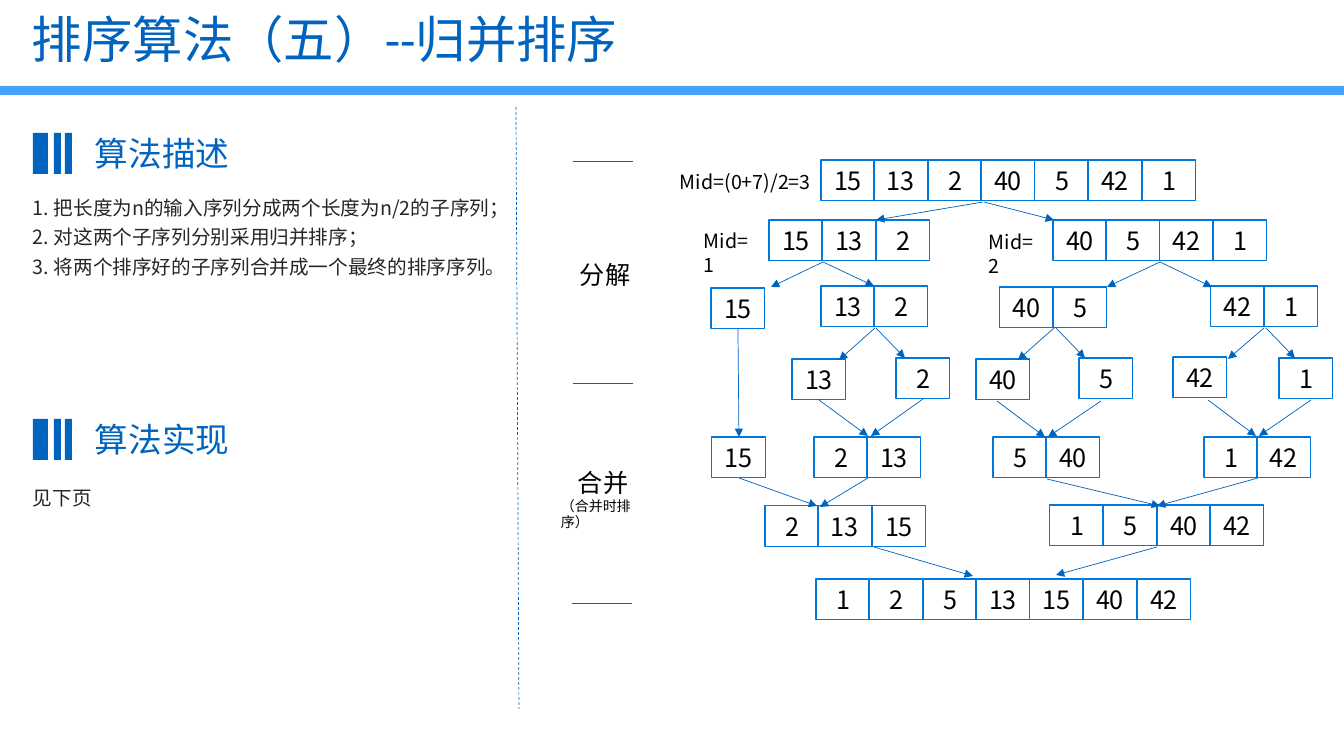
"""Build the merge sort slide: its description beside a split-and-merge diagram."""
from dataclasses import dataclass

from lxml import etree
from pptx import Presentation
from pptx.dml.color import RGBColor
from pptx.enum.dml import MSO_LINE
from pptx.enum.shapes import MSO_CONNECTOR, MSO_SHAPE
from pptx.enum.text import MSO_ANCHOR, MSO_AUTO_SIZE, PP_ALIGN
from pptx.oxml.ns import qn
from pptx.util import Emu, Pt

RECTANGLE = MSO_SHAPE.RECTANGLE
STRAIGHT = MSO_CONNECTOR.STRAIGHT
DASH = MSO_LINE.DASH
TOP, MIDDLE = MSO_ANCHOR.TOP, MSO_ANCHOR.MIDDLE
LEFT, CENTER, JUSTIFY = PP_ALIGN.LEFT, PP_ALIGN.CENTER, PP_ALIGN.JUSTIFY
NO_FIT = MSO_AUTO_SIZE.NONE
TOP_SITE, BOTTOM_SITE = 0, 2
EMU_PER_PX = 914400 / 100.8
CELL_WIDTH, CELL_HEIGHT = 54, 41


@dataclass(frozen=True)
class Theme:
    """Colours, fonts and type sizes of the slide."""
    primary: RGBColor = RGBColor(0x00, 0x63, 0xBE)
    band: RGBColor = RGBColor(0x47, 0xA1, 0xFE)
    cell_line: RGBColor = RGBColor(0x01, 0x78, 0xD9)
    body: RGBColor = RGBColor(0x26, 0x26, 0x26)
    black: RGBColor = RGBColor(0, 0, 0)
    title_font: str = "Calibri"
    font: str = "Noto Sans CJK SC"
    title: int = 36
    heading: int = 24
    label: int = 18
    text: int = 14
    small: int = 10
    leading: float = 1.22
    body_leading: float = 1.5


def px(length):
    """Turn pixels into EMU."""
    return Emu(round(length * EMU_PER_PX))


class SlideBuilder:
    """Draws styled elements on one slide."""

    def __init__(self, page, theme):
        self.page = page
        self.theme = theme
        self.anchors = []

    def add_span(self, para, words, size, color, font=None):
        """Add one formatted run to a paragraph."""
        span = para.add_run()
        span.text = words
        span.font.size = Pt(size)
        span.font.color.rgb = color
        span.font.name = font or self.theme.font
        east_asian = etree.SubElement(span._r.get_or_add_rPr(), qn("a:ea"))
        east_asian.set("typeface", self.theme.font)

    def frame(self, box, inset, anchor, wrap=True):
        """Set the insets, anchor and wrapping of a box's text."""
        frame = box.text_frame
        frame.auto_size = NO_FIT
        frame.word_wrap = wrap
        frame.vertical_anchor = anchor
        frame.margin_left = frame.margin_right = px(inset)
        frame.margin_top = frame.margin_bottom = px(inset // 2)
        return frame

    def title(self, words):
        """Place and fill the title placeholder."""
        box = self.page.shapes.title
        box.left, box.top, box.width, box.height = px(22), px(10), px(1228), px(65)
        para = self.frame(box, 10, MIDDLE).paragraphs[0]
        para.alignment = LEFT
        para.line_spacing = 0.9
        self.add_span(para, words, self.theme.title, self.theme.primary, self.theme.title_font)

    def rectangle(self, left, top, width, height, fill=None):
        """Add a filled bar, or an outlined box when no fill is given."""
        box = self.page.shapes.add_shape(RECTANGLE, px(left), px(top), px(width), px(height))
        box.shadow.inherit = False
        if fill is None:
            box.fill.background()
            box.line.color.rgb = self.theme.cell_line
            box.line.width = Pt(0.75)
        else:
            box.fill.solid()
            box.fill.fore_color.rgb = fill
            box.line.fill.background()
        return box

    def text(self, left, top, width, height, lines, color, inset=10, anchor=TOP,
             align=LEFT, leading=None):
        """Add a text box from (words, size, indent) lines."""
        box = self.page.shapes.add_textbox(px(left), px(top), px(width), px(height))
        frame = self.frame(box, inset, anchor)
        for index, (words, size, indent) in enumerate(lines):
            para = frame.add_paragraph() if index else frame.paragraphs[0]
            para.alignment = align
            para.line_spacing = Pt(round(size * (leading or self.theme.leading)))
            if indent:
                para._p.get_or_add_pPr().set("marL", str(px(indent)))
            self.add_span(para, words, size, color)

    def heading(self, top, words):
        """Add a section heading with its three bars."""
        for left, width in ((33, 15), (54, 7), (65, 7)):
            self.rectangle(left, top, width, 41, self.theme.primary)
        self.text(95, top, 162, 41, [(words, self.theme.heading, 0)], self.theme.primary,
                  inset=0, align=JUSTIFY)

    def body(self, top, height, lines):
        """Add justified body text."""
        self.text(33, top, 559, height, [(words, self.theme.text, 0) for words in lines],
                  self.theme.body, inset=0, align=JUSTIFY, leading=self.theme.body_leading)

    def array(self, left, top, values):
        """Add a row of adjoining number cells."""
        for index, value in enumerate(values):
            cell_left = left + index * 107 // 2
            cell = self.rectangle(cell_left, top, CELL_WIDTH, CELL_HEIGHT)
            para = self.frame(cell, 0, MIDDLE, wrap=False).paragraphs[0]
            para.alignment = CENTER
            self.add_span(para, str(value), self.theme.label, self.theme.black)
            center = cell_left + CELL_WIDTH // 2
            self.anchors.append((center, top, cell, TOP_SITE))
            self.anchors.append((center, top + CELL_HEIGHT, cell, BOTTOM_SITE))

    def line(self, start, end, dash=None):
        """Add a thin straight line."""
        line = self.page.shapes.add_connector(STRAIGHT, *map(px, (*start, *end)))
        line.line.color.rgb = self.theme.primary
        line.line.width = Pt(0.5)
        if dash:
            line.line.dash_style = dash
        etree.SubElement(line._element.spPr, qn("a:effectLst"))
        return line

    def arrow(self, start, end):
        """Add an arrow, joined to any cell side whose middle it meets."""
        arrow = self.line(start, end)
        head = etree.SubElement(arrow.line._get_or_add_ln(), qn("a:tailEnd"))
        head.set("type", "triangle")
        for point, connect in ((start, arrow.begin_connect), (end, arrow.end_connect)):
            for x, y, cell, site in self.anchors:
                if abs(x - point[0]) <= 2 and abs(y - point[1]) <= 2:
                    connect(cell, site)


ARRAYS = (
    (821, 160, (15, 13, 2, 40, 5, 42, 1)),
    (769, 220, (15, 13, 2)), (1053, 220, (40, 5, 42, 1)),
    (711, 288, (15,)), (821, 286, (13, 2)), (1000, 287, (40, 5)), (1211, 286, (42, 1)),
    (792, 359, (13,)), (896, 358, (2,)), (976, 359, (40,)),
    (1079, 358, (5,)), (1173, 357, (42,)), (1279, 358, (1,)),
    (712, 437, (15,)), (814, 437, (2, 13)), (993, 437, (5, 40)), (1204, 437, (1, 42)),
    (765, 506, (2, 13, 15)), (1050, 505, (1, 5, 40, 42)),
    (816, 579, (1, 2, 5, 13, 15, 40, 42)),
)
ARROWS = (
    ((983, 202), (876, 220)), ((984, 202), (1054, 220)),
    ((823, 262), (771, 287)), ((823, 262), (874, 286)),
    ((1160, 262), (1107, 287)), ((1160, 262), (1212, 287)),
    ((875, 328), (839, 360)), ((876, 328), (905, 358)),
    ((1054, 328), (1018, 360)), ((1056, 328), (1085, 358)),
    ((1264, 328), (1228, 359)), ((1266, 328), (1295, 358)),
    ((738, 329), (739, 437)),
    ((819, 400), (868, 436)), ((922, 400), (871, 436)),
    ((997, 401), (1045, 437)), ((1101, 401), (1048, 437)),
    ((1208, 400), (1256, 436)), ((1311, 400), (1259, 436)),
    ((739, 478), (817, 506)), ((868, 478), (820, 507)),
    ((1047, 479), (1160, 506)), ((1258, 478), (1157, 506)),
    ((874, 547), (973, 576)), ((1157, 547), (1056, 575)),
)


def main():
    """Build and save the deck."""
    deck = Presentation()
    deck.slide_width, deck.slide_height = px(1344), px(756)
    theme = Theme()
    slide = SlideBuilder(deck.slides.add_slide(deck.slide_layouts[5]), theme)

    slide.rectangle(0, 86, 1344, 9, theme.band)
    slide.title("排序算法（五）--归并排序")
    slide.heading(133, "算法描述")
    slide.body(190, 85, ["1. 把长度为n的输入序列分成两个长度为n/2的子序列；",
                         "2. 对这两个子序列分别采用归并排序；",
                         "3. 将两个排序好的子序列合并成一个最终的排序序列。"])
    slide.heading(419, "算法实现")
    slide.body(480, 25, ["见下页"])
    slide.line((516, 107), (519, 709), DASH)

    for left, top in ((573, 161), (573, 383), (572, 603)):
        slide.line((left, top), (left + 60, top))
    slide.text(570, 254, 73, 40, [("分解", theme.label, 0)], theme.black)
    slide.text(551, 470, 110, 57, [("合并", theme.label, 17), ("（合并时排序）", theme.small, 0)],
               theme.black, anchor=MIDDLE)
    for left, top, width, words in ((670, 165, 158, "Mid=(0+7)/2=3"),
                                    (694, 224, 70, "Mid=1"), (979, 225, 70, "Mid=2")):
        slide.text(left, top, width, 34, [(words, theme.text, 0)], theme.black)
    for left, top, values in ARRAYS:
        slide.array(left, top, values)
    for start, end in ARROWS:
        slide.arrow(start, end)
    deck.save("out.pptx")


if __name__ == "__main__":
    main()
